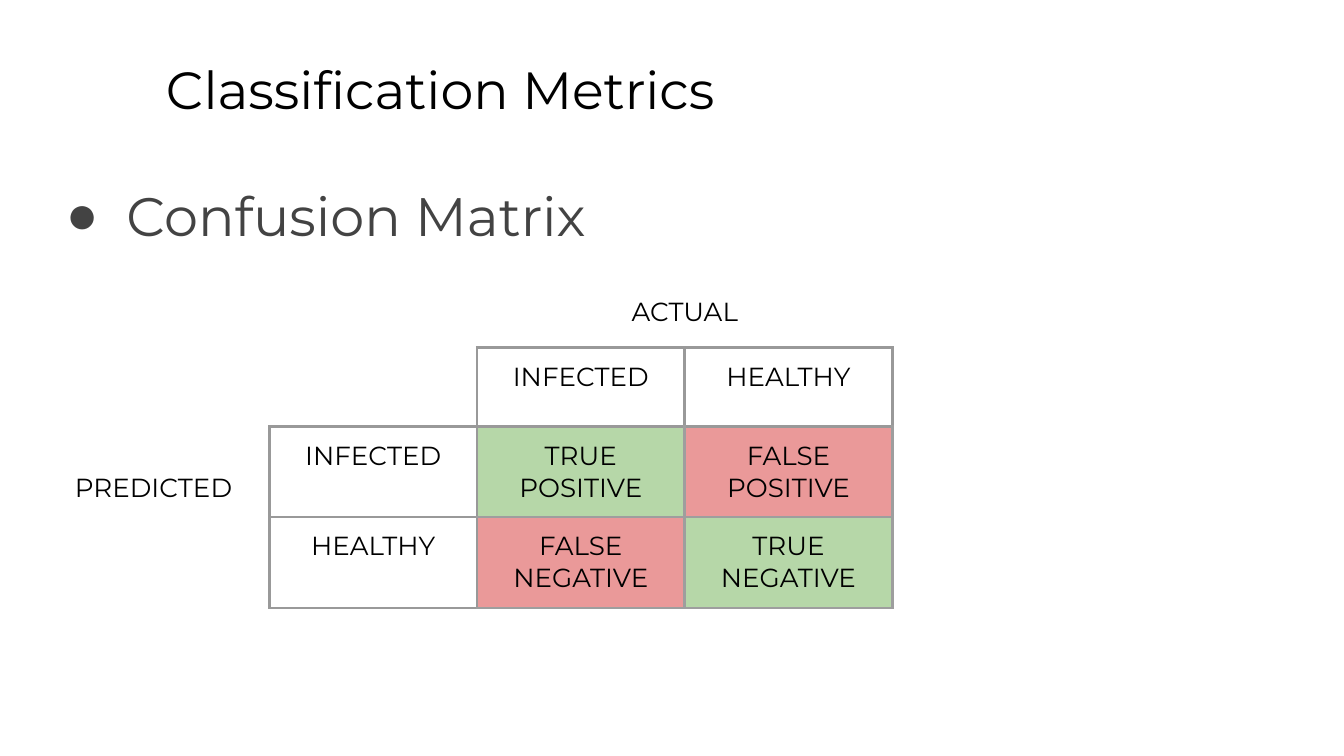
from copy import deepcopy
from dataclasses import dataclass

from lxml import etree
from pptx import Presentation
from pptx.dml.color import RGBColor
from pptx.enum.text import MSO_ANCHOR, MSO_AUTO_SIZE, PP_ALIGN
from pptx.oxml.ns import qn
from pptx.util import Emu, Pt

LEFT, CENTER = PP_ALIGN.LEFT, PP_ALIGN.CENTER
TOP = MSO_ANCHOR.TOP
NO_AUTOFIT = MSO_AUTO_SIZE.NONE
EMU_PER_PX = 4572  # 200 px to the inch
INSET = 20


@dataclass(frozen=True)
class Theme:
    font: str = "Montserrat"
    title_size: int = 28
    body_size: int = 29
    cell_size: int = 14
    ink: str = "000000"
    body: str = "434343"
    correct: str = "B6D7A8"
    wrong: str = "EA9999"
    header_line: str = "999999"
    outcome_line: str = "9E9E9E"
    line_width: float = 1.5


@dataclass(frozen=True)
class Entry:
    row: int
    col: int
    text: str
    fill: str | None = None
    margins: tuple[int, int, int] = (INSET, INSET, INSET)  # left, top, right
    last_row: int | None = None
    last_col: int | None = None


THEME = Theme()
COL_WIDTHS = [309] * 4
ROW_HEIGHTS = [96, 118, 134, 134]
# "\n" starts a paragraph, "\v" breaks the line inside one
ENTRIES = [
    Entry(0, 2, "ACTUAL", last_col=3),
    Entry(1, 2, "INFECTED"),
    Entry(1, 3, "HEALTHY"),
    Entry(2, 0, "PREDICTED", margins=(8, 68, 44), last_row=3),
    Entry(2, 1, "INFECTED"),
    Entry(2, 2, "TRUE\vPOSITIVE", THEME.correct),
    Entry(2, 3, "FALSE\nPOSITIVE", THEME.wrong),
    Entry(3, 1, "HEALTHY"),
    Entry(3, 2, "FALSE\nNEGATIVE", THEME.wrong),
    Entry(3, 3, "TRUE\nNEGATIVE", THEME.correct),
]
# Border tags in schema order, with the step to the neighbouring cell
SIDES = {"a:lnL": (0, -1), "a:lnR": (0, 1), "a:lnT": (-1, 0), "a:lnB": (1, 0)}


def px(length: int) -> Emu:
    return Emu(length * EMU_PER_PX)


def write(frame, text: str, *, size: int, color: str = THEME.ink,
          align=LEFT, bullet: str | None = None) -> None:
    for index, content in enumerate(text.split("\n")):
        paragraph = frame.add_paragraph() if index else frame.paragraphs[0]
        if bullet:
            props = paragraph._p.get_or_add_pPr()
            props.set("marL", str(px(100)))
            props.set("indent", str(px(-90)))
            etree.SubElement(props, qn("a:buChar")).set("char", bullet)
        paragraph.alignment = align
        paragraph.line_spacing = 1.0
        paragraph.space_before = Pt(0)
        for part, line in enumerate(content.split("\v")):
            if part:
                paragraph.add_line_break()
                # The break takes the format of the run before it
                paragraph._p[-1].append(deepcopy(run.font._rPr))
            run = paragraph.add_run()
            run.text = line
            run.font.name = THEME.font
            run.font.size = Pt(size)
            run.font.color.rgb = RGBColor.from_string(color)


def fill_placeholder(shape, box: tuple[int, int, int, int], text: str, **style) -> None:
    shape.left, shape.top, shape.width, shape.height = map(px, box)
    frame = shape.text_frame
    frame.margin_left = frame.margin_right = px(INSET)
    frame.margin_top = frame.margin_bottom = px(INSET)
    frame.word_wrap = True
    frame.auto_size = NO_AUTOFIT
    frame.vertical_anchor = TOP
    write(frame, text, **style)


def is_outcome(row: int, col: int) -> bool:
    return row in (2, 3) and col in (2, 3)


def is_header(row: int, col: int) -> bool:
    return (row == 1 and col in (2, 3)) or (col == 1 and row in (2, 3))


def border_color(here: tuple[int, int], beside: tuple[int, int]) -> str | None:
    if is_header(*here) or is_header(*beside):
        return THEME.header_line
    if is_outcome(*here) or is_outcome(*beside):
        return THEME.outcome_line
    return None


def draw_borders(cell, row: int, col: int) -> None:
    props = cell._tc.get_or_add_tcPr()
    for order, (tag, (down, right)) in enumerate(SIDES.items()):
        color = border_color((row, col), (row + down, col + right))
        line = etree.Element(qn(tag), w=str(Pt(THEME.line_width)))
        if color:
            solid = etree.SubElement(line, qn("a:solidFill"))
            etree.SubElement(solid, qn("a:srgbClr")).set("val", color)
        else:
            etree.SubElement(line, qn("a:noFill"))
        props.insert(order, line)


def fill_entry(table, entry: Entry) -> None:
    cell = table.cell(entry.row, entry.col)
    if entry.last_row or entry.last_col:
        cell.merge(table.cell(entry.last_row or entry.row, entry.last_col or entry.col))
    cell.margin_left, cell.margin_top, cell.margin_right = map(px, entry.margins)
    cell.margin_bottom = px(INSET)
    cell.vertical_anchor = TOP
    if entry.fill:
        cell.fill.solid()
        cell.fill.fore_color.rgb = RGBColor.from_string(entry.fill)
    write(cell.text_frame, entry.text, size=THEME.cell_size, align=CENTER)


def draw_confusion_matrix(slide, left: int, top: int) -> None:
    table = slide.shapes.add_table(
        len(ROW_HEIGHTS), len(COL_WIDTHS), px(left), px(top),
        px(sum(COL_WIDTHS)), px(sum(ROW_HEIGHTS))).table
    table.first_row = table.horz_banding = False
    for column, width in zip(table.columns, COL_WIDTHS):
        column.width = px(width)
    for row, height in zip(table.rows, ROW_HEIGHTS):
        row.height = px(height)
    for row in range(len(ROW_HEIGHTS)):
        for col in range(len(COL_WIDTHS)):
            cell = table.cell(row, col)
            cell.fill.background()
            draw_borders(cell, row, col)
    for entry in ENTRIES:
        fill_entry(table, entry)


def main() -> None:
    deck = Presentation()
    deck.slide_width, deck.slide_height = px(2000), px(1125)
    slide = deck.slides.add_slide(deck.slide_layouts[1])

    # Title and bullet list
    fill_placeholder(slide.shapes.title, (227, 65, 1704, 126),
                     "Classification Metrics", size=THEME.title_size)
    fill_placeholder(slide.placeholders[1], (68, 252, 1900, 748), "Confusion Matrix",
                     size=THEME.body_size, color=THEME.body, bullet="●")

    # Confusion matrix
    draw_confusion_matrix(slide, 92, 421)
    deck.save("out.pptx")


if __name__ == "__main__":
    main()
